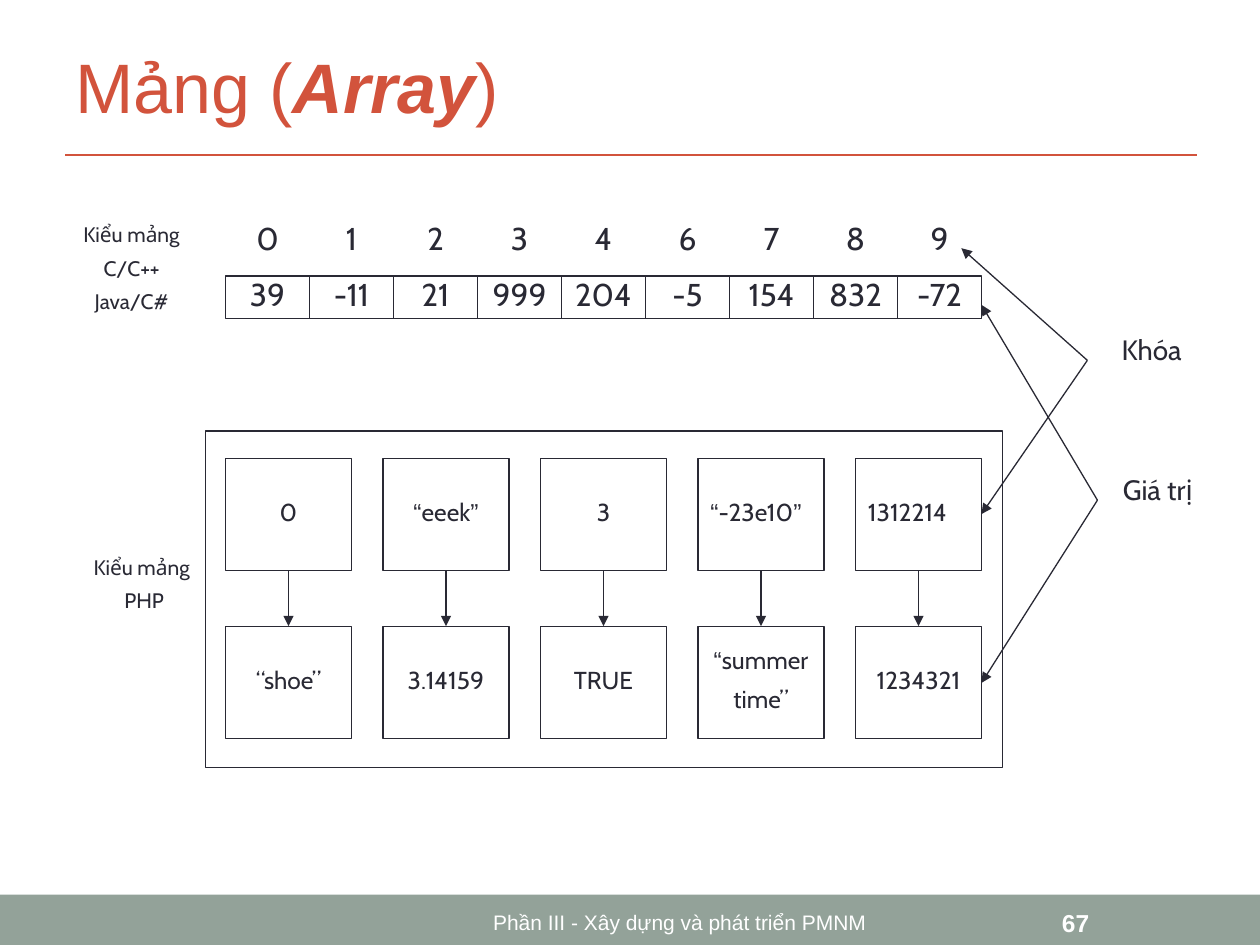
from lxml import etree
from pptx import Presentation
from pptx.dml.color import RGBColor
from pptx.enum import shapes, text
from pptx.oxml import ns
from pptx.util import Inches, Pt

COLORS = {"ink": "292934", "accent": "D2533C", "footer": "93A299", "white": "FFFFFF"}
CENTER, LEFT = text.PP_ALIGN.CENTER, text.PP_ALIGN.LEFT
TOP, MIDDLE = text.MSO_ANCHOR.TOP, text.MSO_ANCHOR.MIDDLE

INDEXES = ["0", "1", "2", "3", "4", "6", "7", "8", "9"]
NUMBERS = ["39", "-11", "21", "999", "204", "-5", "154", "832", "-72"]
# Each paragraph is a list of runs; quotes in their own run are set in Arial.
KEYS = [["0"], ["“", "eeek", "”"], ["3"], ["“", "-23e10", "”"], ["1312214"]]
VALUES = [
    [["“shoe”"]],
    [["3.14159"]],
    [["TRUE"]],
    [["“", "summer"], ["time”"]],
    [["1234321"]],
]
GRID_LEFT = 1.79
CELL_WIDTH, CELL_HEIGHT = 2 / 3, 0.34
BOX_WIDTH, BOX_HEIGHT, BOX_STEP = 1, 0.89, 1.25
KEY_TOP, VALUE_TOP = 3.64, 4.97


def rgb(name):
    return RGBColor.from_string(COLORS[name])


def style(font, size, color="ink", name="Cabin", bold=False, italic=False):
    font.size, font.name = Pt(size), name
    font.bold, font.italic = bold, italic
    font.color.rgb = rgb(color)


def write(frame, paragraphs, size, align=CENTER, anchor=TOP, before=0):
    """Fill a frame with tightly set paragraphs of diagram text."""
    frame.word_wrap = True
    frame.vertical_anchor = anchor
    for number, runs in enumerate(paragraphs):
        paragraph = frame.add_paragraph() if number else frame.paragraphs[0]
        paragraph.alignment = align
        paragraph.line_spacing = 0.8
        if number:
            paragraph.space_before = Pt(before)
        for words in runs:
            run = paragraph.add_run()
            run.text = words
            style(run.font, size, name="Arial" if words in "“”" else "Cabin")


def add_label(slide, left, top, width, height, lines, size):
    label = slide.shapes.add_textbox(*map(Inches, (left, top, width, height)))
    write(label.text_frame, [[line] for line in lines], size, before=7.5)


def add_box(slide, left, top, width, height):
    box = slide.shapes.add_shape(
        shapes.MSO_SHAPE.RECTANGLE, *map(Inches, (left, top, width, height)))
    box.shadow.inherit = False
    box.fill.background()
    box.line.color.rgb = rgb("ink")
    box.line.width = Pt(0.75)
    return box


def add_line(slide, start, end, color="ink", width=0.75, arrow=True):
    line = slide.shapes.add_connector(
        shapes.MSO_CONNECTOR.STRAIGHT, *map(Inches, (*start, *end)))
    line.line.color.rgb = rgb(color)
    line.line.width = Pt(width)
    if arrow:
        etree.SubElement(line.line._get_or_add_ln(), ns.qn("a:tailEnd"), type="triangle")
    etree.SubElement(line._element.spPr, ns.qn("a:effectLst"))


def add_title(slide):
    title = slide.shapes.add_textbox(Inches(0.5), Inches(0.14), Inches(9), Inches(1.08))
    frame = title.text_frame
    frame.word_wrap = True
    frame.vertical_anchor = MIDDLE
    for words, strong in (("Mảng (", False), ("Array", True), (")", False)):
        run = frame.paragraphs[0].add_run()
        run.text = words
        style(run.font, 40, "accent", "Arial", strong, strong)
    add_line(slide, (0.52, 1.23), (9.5, 1.23), "accent", 1.5, arrow=False)


def add_footer(slide):
    band = add_box(slide, 0, 7.1, 10, 0.4)
    band.fill.solid()
    band.fill.fore_color.rgb = rgb("footer")
    band.line.fill.background()
    for words, left, width, size, align, bold in (
        ("Phần III - Xây dựng và phát triển PMNM", 2.55, 5.69, 12, CENTER, False),
        ("67", 8.33, 1.17, 14, LEFT, True),
    ):
        note = slide.shapes.add_textbox(Inches(left), Inches(7.14), Inches(width), Inches(0.36))
        frame = note.text_frame
        frame.word_wrap = True
        frame.vertical_anchor = MIDDLE
        frame.text = words
        frame.paragraphs[0].alignment = align
        style(frame.paragraphs[0].runs[0].font, size, "white", "Arial", bold)


def add_indexed_array(slide):
    for column, (index, number) in enumerate(zip(INDEXES, NUMBERS)):
        left = GRID_LEFT + column * CELL_WIDTH
        add_label(slide, left, 1.75, CELL_WIDTH, CELL_HEIGHT, [index], 18)
        cell = add_box(slide, left, 2.19, CELL_WIDTH, CELL_HEIGHT)
        write(cell.text_frame, [[number]], 18)


def add_keyed_array(slide):
    add_box(slide, 1.63, 3.42, 6.33, 2.67)
    for column, (key, value) in enumerate(zip(KEYS, VALUES)):
        left = GRID_LEFT + column * BOX_STEP
        center = left + BOX_WIDTH / 2
        key_box = add_box(slide, left, KEY_TOP, BOX_WIDTH, BOX_HEIGHT)
        write(key_box.text_frame, [key], 14, LEFT if column > 2 else CENTER, MIDDLE)
        value_box = add_box(slide, left, VALUE_TOP, BOX_WIDTH, BOX_HEIGHT)
        write(value_box.text_frame, value, 14, anchor=MIDDLE, before=8.8)
        add_line(slide, (center, KEY_TOP + BOX_HEIGHT), (center, VALUE_TOP))


def add_callouts(slide):
    for start, ends in (
        ((8.71, 3.97), ((7.79, 2.42), (7.79, 5.42))),
        ((8.63, 2.86), ((7.63, 1.97), (7.79, 4.08))),
    ):
        for end in ends:
            add_line(slide, start, end)
    add_label(slide, 8.36, 2.64, 1.56, 0.32, ["Khóa"], 16)
    add_label(slide, 8.36, 3.75, 1.66, 0.32, ["Giá trị"], 16)
    add_label(slide, 0.46, 1.75, 1.17, 0.79, ["Kiểu mảng", "C/C++", "Java/C#"], 12)
    add_label(slide, 0.54, 4.39, 1.17, 0.53, ["Kiểu mảng", " PHP"], 12)


def main():
    deck = Presentation()
    deck.slide_width, deck.slide_height = Inches(10), Inches(7.5)
    slide = deck.slides.add_slide(deck.slide_layouts[6])
    add_footer(slide)
    add_title(slide)
    add_indexed_array(slide)
    add_keyed_array(slide)
    add_callouts(slide)
    deck.save("out.pptx")


if __name__ == "__main__":
    main()
